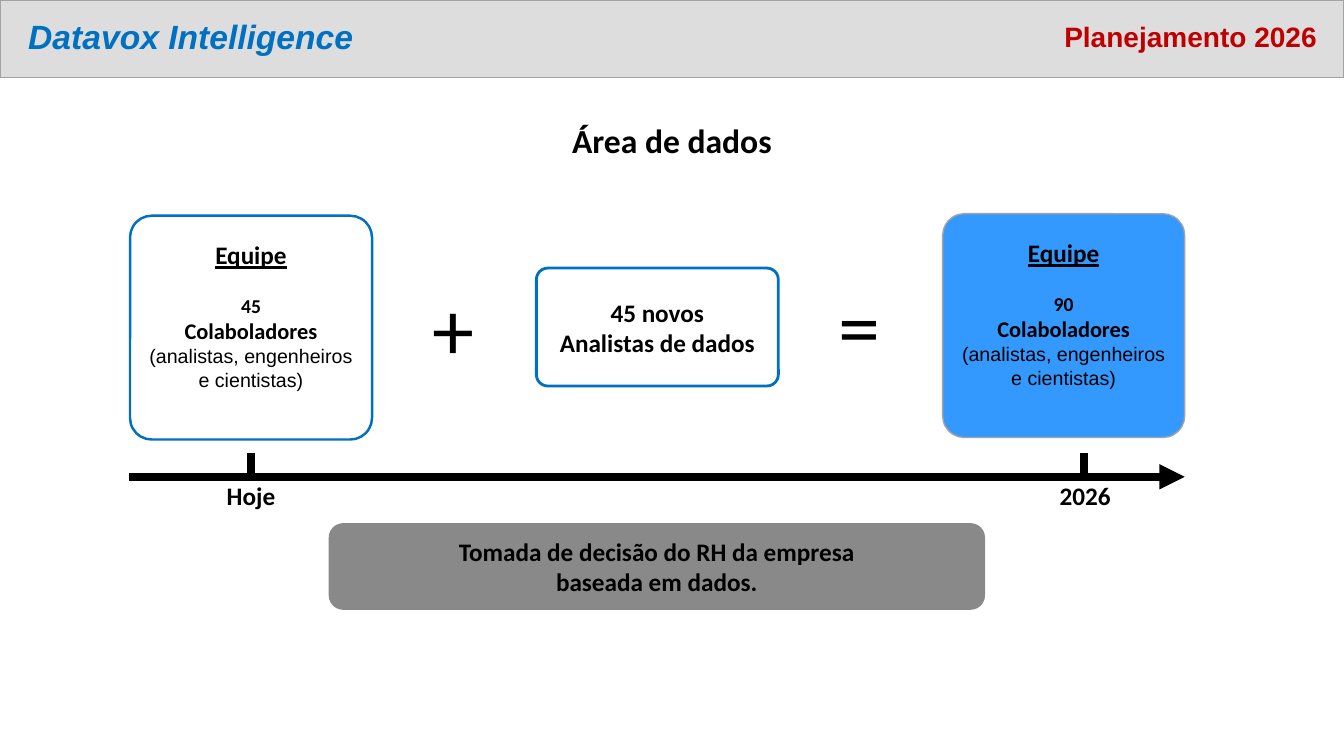
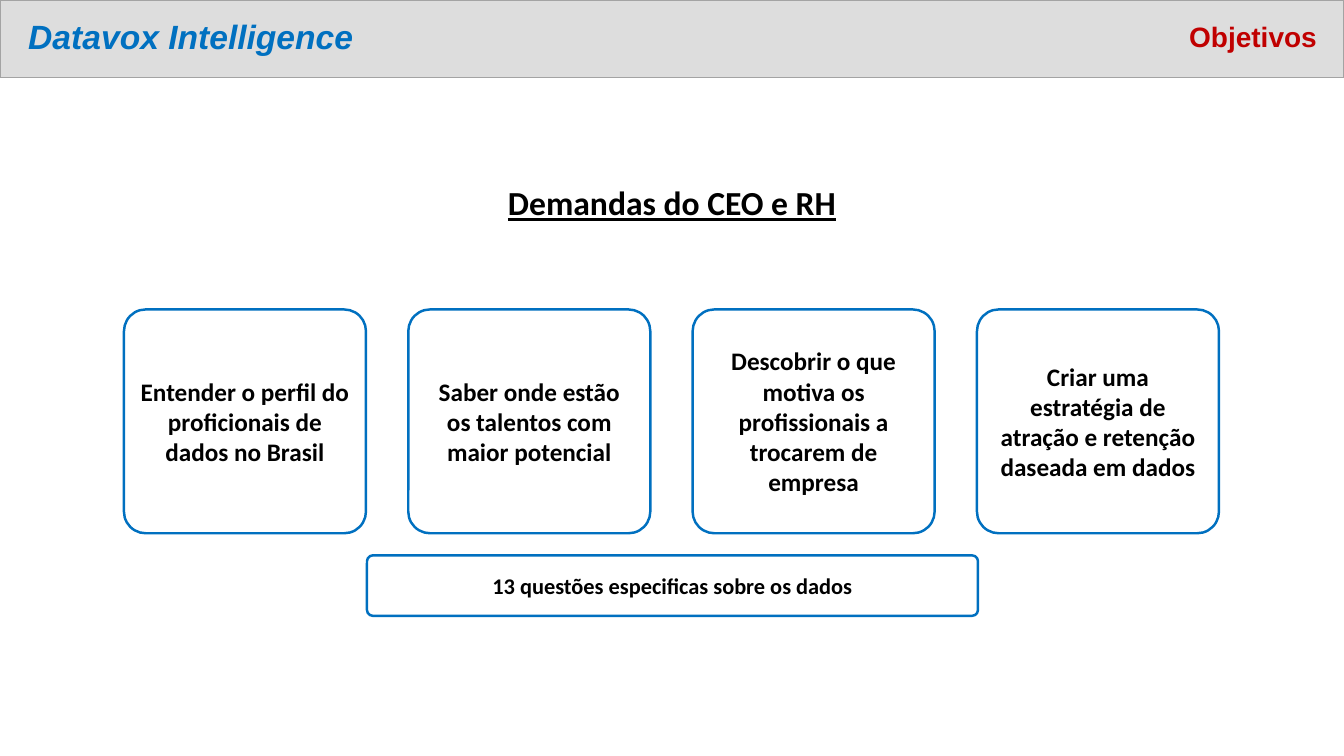
from pptx import Presentation
from pptx import util as u
from pptx.dml.color import RGBColor
from pptx.enum import shapes, text
from pptx.oxml.ns import qn
from lxml import etree

PX = 9144
COLORS = {
    "ink": "000000", "white": "FFFFFF", "band": "DDDDDD", "edge": "A3A3A3",
    "blue": "0070C0", "sky": "3399FF", "red": "C00000", "gray": "898989",
}
ALIGN = text.PP_ALIGN
SHAPE = shapes.MSO_SHAPE
CARD_WIDTH, CARD_HEIGHT = 240, 222


def write(shape, lines, align=ALIGN.CENTER, anchor=text.MSO_ANCHOR.MIDDLE, wrap=True,
          size=18, font="Calibri", color="ink", bold=True, italic=None, underline=None, spacing=None):
    frame = shape.text_frame
    frame.word_wrap = wrap
    frame.auto_size = text.MSO_AUTO_SIZE.NONE
    frame.vertical_anchor = anchor
    frame.text = "\n".join(lines)
    for para in frame.paragraphs:
        para.alignment = align
        para.line_spacing = spacing
        para.font.size = u.Pt(size)
        para.font.name = font
        para.font.bold = bold
        para.font.italic = italic
        para.font.underline = underline
        para.font.color.rgb = RGBColor.from_string(COLORS[color])
    return frame.paragraphs


def add_box(page, bounds, kind=SHAPE.ROUNDED_RECTANGLE, fill="white", line="blue", width=1.75):
    box = page.shapes.add_shape(kind, *[n * PX for n in bounds])
    box.shadow.inherit = False
    if kind == SHAPE.ROUNDED_RECTANGLE:
        box.adjustments[0] = 0.097
    if fill:
        box.fill.solid()
        box.fill.fore_color.rgb = RGBColor.from_string(COLORS[fill])
    else:
        box.fill.background()
    if line:
        box.line.color.rgb = RGBColor.from_string(COLORS[line])
        box.line.width = u.Pt(width)
    else:
        box.line.fill.background()
    return box


deck = Presentation()
deck.slide_width, deck.slide_height = 1333 * PX, 750 * PX

pages = []
for topic, heading, heading_top, underline in [
    ("Planejamento 2026", "Área de dados", 114, None),
    ("Objetivos", "Demandas do CEO e RH", 176, True),
]:
    page = deck.slides.add_slide(deck.slide_layouts[5])
    pages.append(page)
    title = page.shapes.title
    title.left, title.top, title.width, title.height = [n * PX for n in (18, 8, 352, 61)]
    write(title, ["Datavox Intelligence"], ALIGN.LEFT, size=24, font="Arial",
          color="blue", italic=True, spacing=0.9)
    band = add_box(page, (0, 0, 1333, 77), SHAPE.RECTANGLE, "band", "edge", 1)
    title.element.addprevious(band.element)
    topic_box = page.shapes.add_textbox(*[n * PX for n in (964, 8, 352, 61)])
    write(topic_box, [topic], ALIGN.RIGHT, size=20, font="Arial", color="red", spacing=0.9)
    heading_box = page.shapes.add_textbox(*[n * PX for n in (0, heading_top, 1333, 50)])
    write(heading_box, [heading], anchor=text.MSO_ANCHOR.TOP, size=24, underline=underline)

plan, goals = pages

for left, top, count, fill, line, width in [
    (129, 214, "45", "white", "blue", 1.75),
    (935, 212, "90", "sky", "edge", 1),
]:
    card = add_box(plan, (left, top, CARD_WIDTH, CARD_HEIGHT), fill=fill, line=line, width=width)
    team, number, role, detail = write(
        card, ["Equipe", count, "Colaboladores", "(analistas, engenheiros e cientistas)"], size=14)
    card.text_frame.margin_bottom = 29 * PX
    team.font.size = u.Pt(18)
    team.font.underline = True
    number.space_before = u.Pt(17)
    role.font.size = u.Pt(16)
    detail.font.name = "Arial"
    detail.font.bold = False

hires = add_box(plan, (532, 266, CARD_WIDTH, 117), fill=None, width=2)
write(hires, ["45 novos", "Analistas de dados"])

for label, bounds, size, bold in [
    ("+", (419, 269, 62, 111), 60, False),
    ("=", (822, 266, 62, 111), 60, False),
    ("Hoje", (215, 472, 69, 40), 18, True),
    ("2026", (1041, 472, 71, 40), 18, True),
]:
    label_box = plan.shapes.add_textbox(*[n * PX for n in bounds])
    write(label_box, [label], ALIGN.LEFT, text.MSO_ANCHOR.TOP, False, size=size, bold=bold)

for x1, y1, x2, y2, arrow in [
    (128, 473, 1175, 473, True),
    (249, 449, 249, 473, False),
    (1075, 449, 1075, 473, False),
]:
    stroke = plan.shapes.add_connector(
        shapes.MSO_CONNECTOR.STRAIGHT, x1 * PX, y1 * PX, x2 * PX, y2 * PX)
    stroke.line.width = u.Pt(6)
    stroke.line.color.rgb = RGBColor.from_string(COLORS["ink"])
    if arrow:
        etree.SubElement(stroke.line._get_or_add_ln(), qn("a:tailEnd"), type="triangle")
    etree.SubElement(stroke.element.spPr, qn("a:effectLst"))

decision = add_box(plan, (326, 519, 651, 86), SHAPE.FLOWCHART_ALTERNATE_PROCESS, "gray", None)
write(decision, ["Tomada de decisão do RH da empresa", "baseada em dados."])

demands = [
    "Entender o perfil do proficionais de dados no Brasil",
    "Saber onde estão os talentos com maior potencial",
    "Descobrir o que motiva os profissionais a trocarem de empresa",
    "Criar uma estratégia de atração e retenção daseada em dados",
]
for index, demand in enumerate(demands):
    card = add_box(goals, (123 + index * 282, 307, CARD_WIDTH, CARD_HEIGHT))
    write(card, [demand])

questions = add_box(goals, (364, 551, 606, 60))
write(questions, ["13 questões especificas sobre os dados"], size=16)

deck.save("out.pptx")
